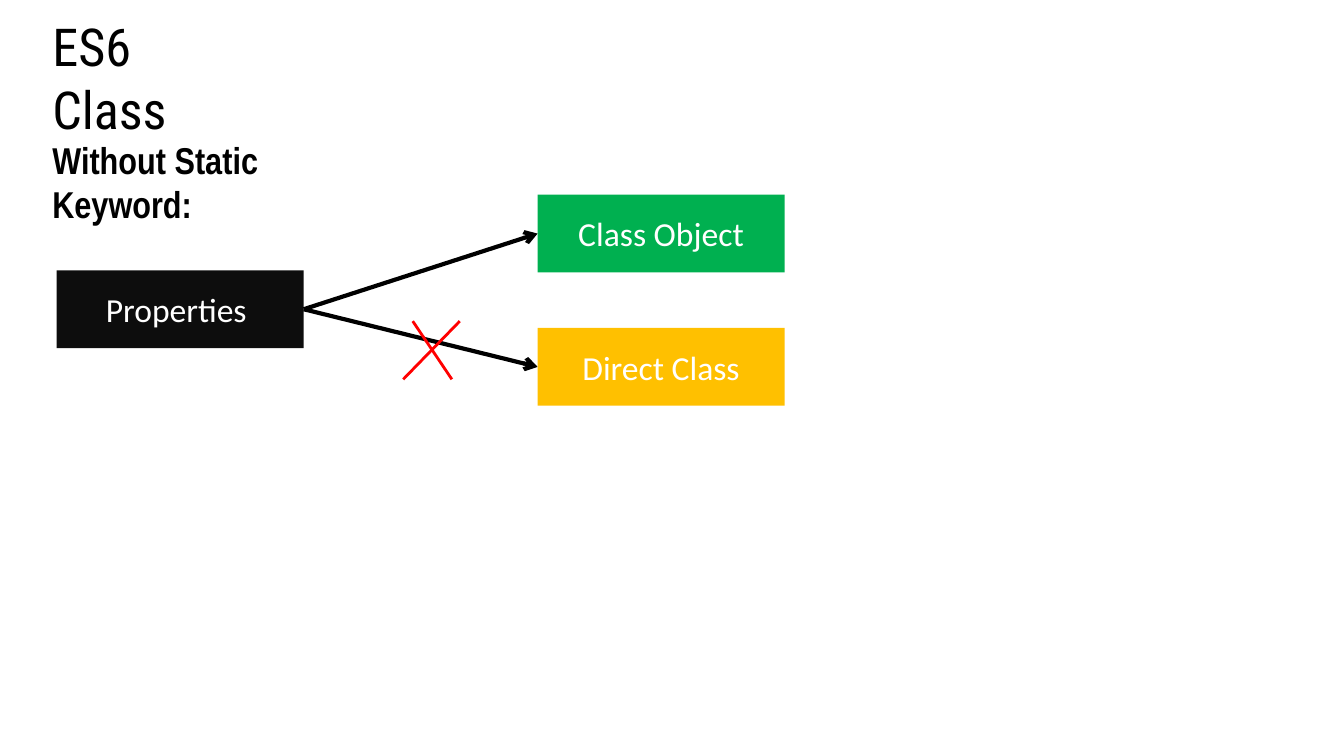
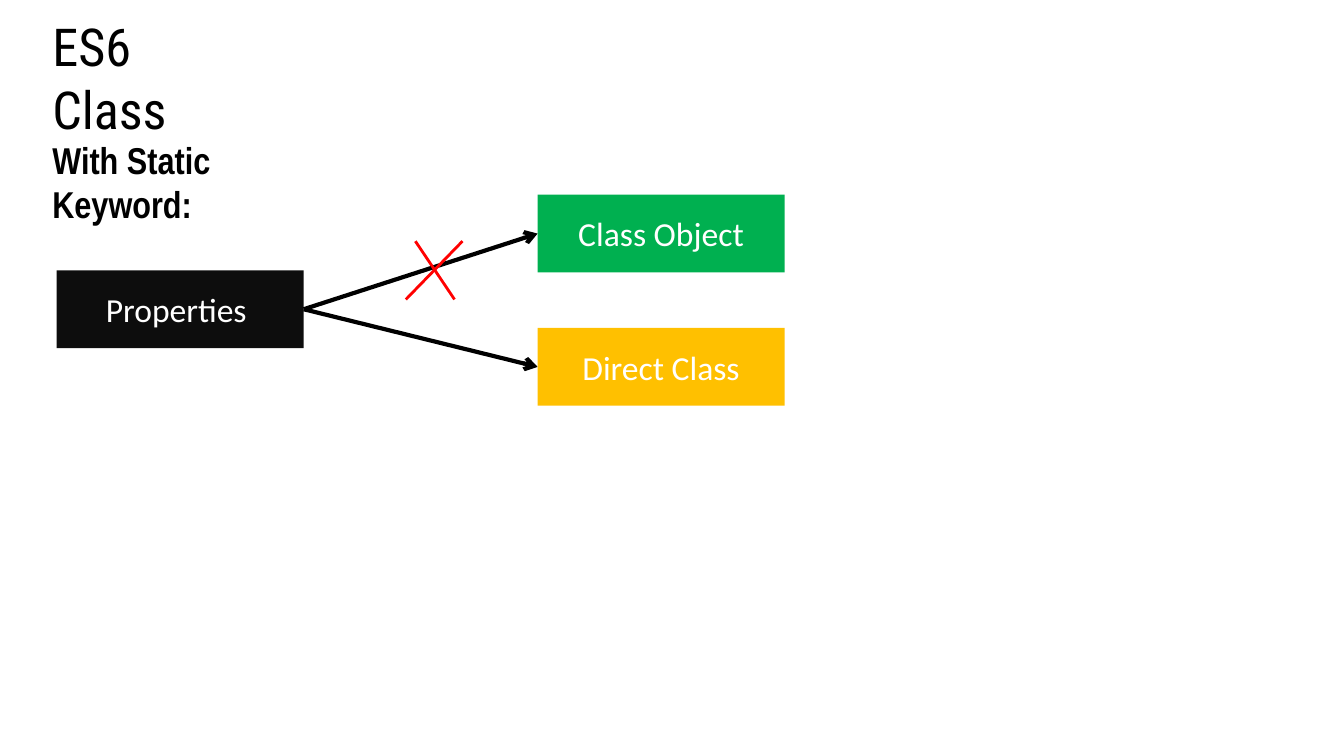
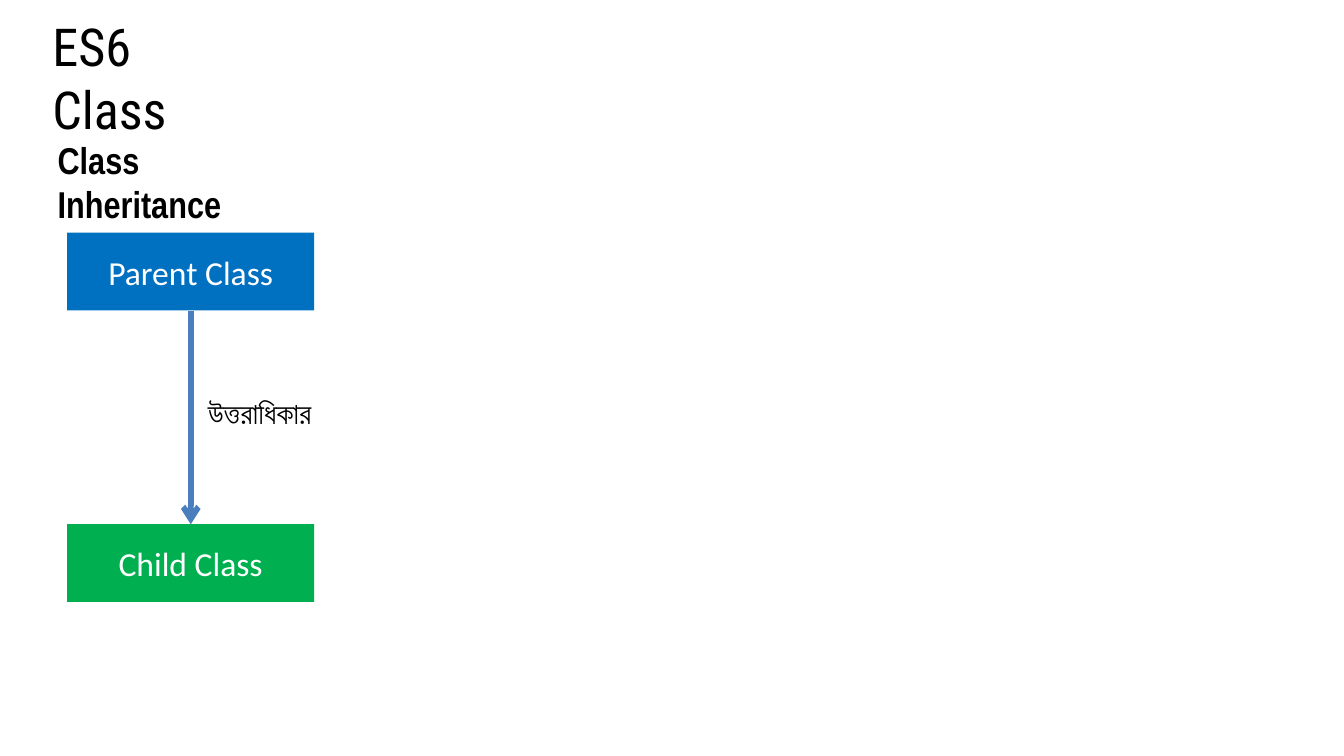
from lxml.etree import SubElement
from pptx import Presentation
from pptx.dml.color import RGBColor
from pptx.enum.shapes import MSO_CONNECTOR, MSO_SHAPE
from pptx.enum.text import MSO_ANCHOR, MSO_AUTO_SIZE, PP_ALIGN
from pptx.oxml.ns import qn
from pptx.util import Cm, Pt

BLACK, WHITE, RED = "000000", "FFFFFF", "FF0000"
CHARCOAL, GREEN, AMBER = "0D0D0D", "00B050", "FFC000"
BLUE, STEEL = "0070C0", "4B7EBC"
TITLE_FONT, HEADING_FONT, NODE_FONT = "Roboto Condensed", "Arial Narrow", "Calibri"
NODE_WIDTH, NODE_HEIGHT = 4.67, 1.47
TOP, LEFT, BOTTOM, RIGHT = range(4)


def rgb(color):
    return RGBColor.from_string(color)


def style_paragraph(paragraph, text, font, size, color, bold=False):
    paragraph.text = text
    paragraph.font.name = font
    paragraph.font.size = Pt(size)
    paragraph.font.bold = bold
    paragraph.font.color.rgb = rgb(color)


def add_label(page, text, left, top, width, height, font, size, bold=False):
    box = page.shapes.add_textbox(Cm(left), Cm(top), Cm(width), Cm(height))
    frame = box.text_frame
    frame.word_wrap = True
    frame.auto_size = MSO_AUTO_SIZE.SHAPE_TO_FIT_TEXT
    style_paragraph(frame.paragraphs[0], text, font, size, BLACK, bold)


def add_node(page, text, left, top, color):
    node = page.shapes.add_shape(
        MSO_SHAPE.RECTANGLE, Cm(left), Cm(top), Cm(NODE_WIDTH), Cm(NODE_HEIGHT))
    node.shadow.inherit = False
    node.fill.solid()
    node.fill.fore_color.rgb = rgb(color)
    node.line.fill.background()
    node.text_frame.vertical_anchor = MSO_ANCHOR.MIDDLE
    paragraph = node.text_frame.paragraphs[0]
    paragraph.alignment = PP_ALIGN.CENTER
    style_paragraph(paragraph, text, NODE_FONT, 18, WHITE)
    return node


def add_line(page, start, end, color, weight):
    line = page.shapes.add_connector(
        MSO_CONNECTOR.STRAIGHT, *(Cm(value) for value in start + end))
    line.line.color.rgb = rgb(color)
    line.line.width = Pt(weight)
    SubElement(line._element.spPr, qn("a:effectLst"))
    return line


def add_arrow(page, source, source_side, target, target_side, color, weight):
    arrow = add_line(page, (0, 0), (0, 0), color, weight)
    arrow.begin_connect(source, source_side)
    arrow.end_connect(target, target_side)
    SubElement(arrow.line._get_or_add_ln(), qn("a:tailEnd"), type="arrow")


def add_cross(page, left, top):
    bottom = top + 1.1
    add_line(page, (left + 1.07, top), (left, bottom), RED, 1.5)
    add_line(page, (left + 0.18, top), (left + 0.92, bottom), RED, 1.5)


def add_page(deck, heading, heading_left, heading_width):
    page = deck.slides.add_slide(deck.slide_layouts[6])
    add_label(page, "ES6 Class", 0.74, 0.15, 3.68, 1.45, TITLE_FONT, 28)
    add_label(page, heading, heading_left, 2.46, heading_width, 1.12,
              HEADING_FONT, 20, True)
    return page


def add_access_page(deck, heading, heading_width, cross_left, cross_top):
    page = add_page(deck, heading, 0.74, heading_width)
    class_object = add_node(page, "Class Object", 10.16, 3.68, GREEN)
    properties = add_node(page, "Properties ", 1.07, 5.11, CHARCOAL)
    direct_class = add_node(page, "Direct Class", 10.16, 6.2, AMBER)
    for target in (class_object, direct_class):
        add_arrow(page, properties, RIGHT, target, LEFT, BLACK, 2.25)
    add_cross(page, cross_left, cross_top)


def add_inheritance_page(deck):
    page = add_page(deck, "Class Inheritance ", 0.84, 4.78)
    parent = add_node(page, "Parent Class", 1.27, 4.4, BLUE)
    child = add_node(page, "Child Class", 1.27, 9.91, GREEN)
    add_arrow(page, parent, BOTTOM, child, TOP, STEEL, 3)
    add_label(page, "উত্তরাধিকার", 3.68, 7.34, 3.71, 0.94, HEADING_FONT, 16, True)


def main():
    deck = Presentation()
    deck.slide_width, deck.slide_height = Cm(25.4), Cm(14.29)
    add_access_page(deck, "Without Static Keyword: ", 6.25, 7.62, 6.07)
    add_access_page(deck, "With Static Keyword: ", 5.51, 7.67, 4.56)
    add_inheritance_page(deck)
    deck.save("out.pptx")


main()
